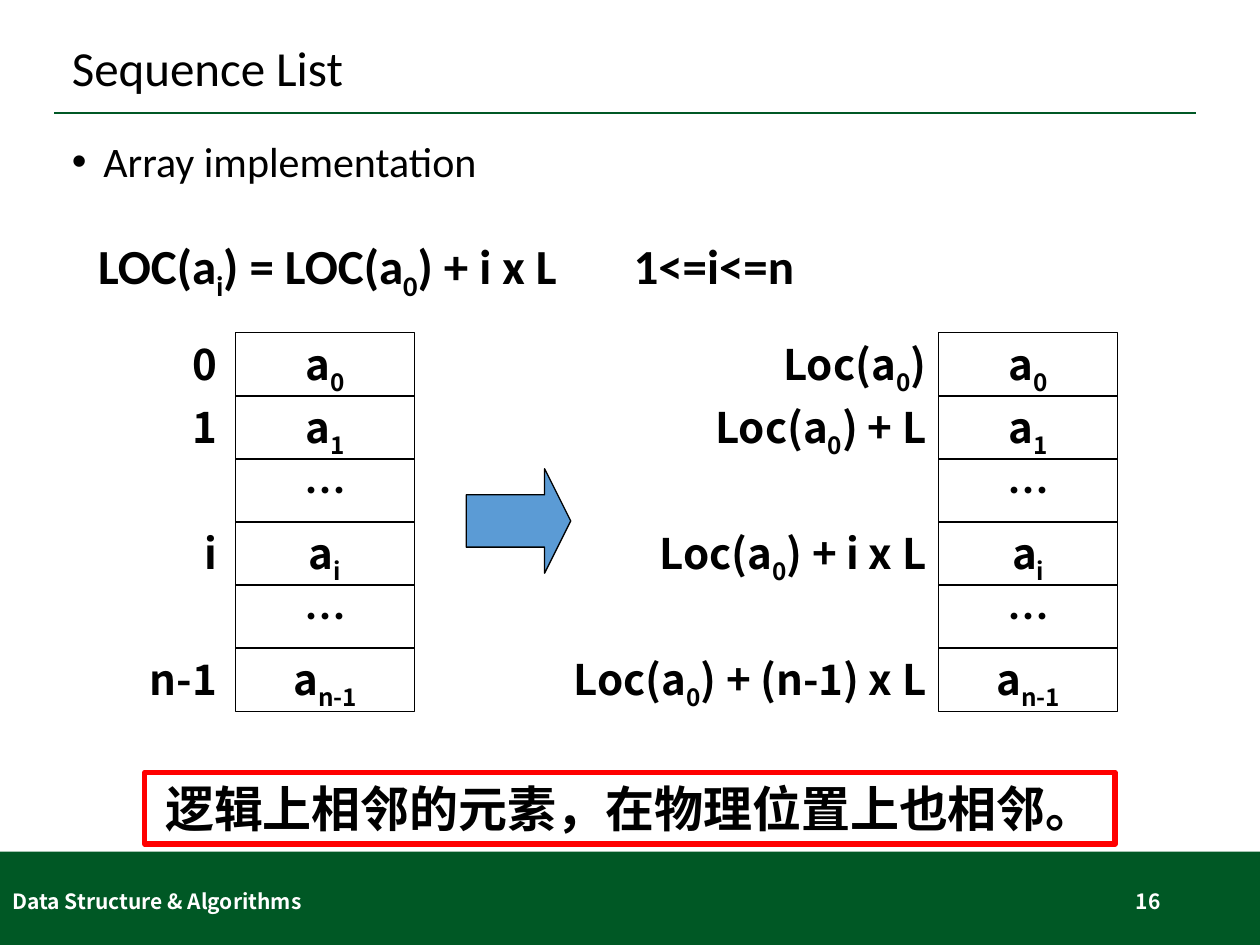
from dataclasses import dataclass

import lxml.etree
import pptx
import pptx.dml.color
import pptx.enum.shapes
import pptx.enum.text
import pptx.oxml.ns
import pptx.util

ALIGN = pptx.enum.text.PP_ALIGN
ANCHOR = pptx.enum.text.MSO_ANCHOR
SHAPE = pptx.enum.shapes.MSO_SHAPE
Inches = pptx.util.Inches


@dataclass(frozen=True)
class Theme:
    green: str = "005825"
    blue: str = "5B9BD5"
    red: str = "FF0000"
    black: str = "000000"
    white: str = "FFFFFF"
    latin: str = "Calibri"
    cells: str = "Noto Sans CJK JP"
    footer: str = "Noto Sans CJK SC"
    large: int = 28
    medium: int = 24
    small: int = 12


THEME = Theme()

# Array grid, in inches
GRID_TOP, ROW_STEP, CELL_WIDTH, CELL_HEIGHT = 2.64, 0.5, 1.42, 0.51
LEFT_ARRAY, RIGHT_ARRAY = 1.87, 7.45
ELEMENTS = ["a~0~", "a~1~", "…", "a~i~", "…", "a~n-1~"]

# Row number: (label, box width)
INDEX_LABELS = {0: ("0", 0.67), 1: ("1", 0.67), 3: ("i", 0.67), 5: ("n-1", 0.83)}
ADDRESS_LABELS = {
    0: ("Loc(a~0~)", 1.45),
    1: ("Loc(a~0~) + L", 2.6),
    3: ("Loc(a~0~) + i x L", 2.76),
    5: ("Loc(a~0~) + (n-1) x L", 3.33),
}


def color(value):
    return pptx.dml.color.RGBColor.from_string(value)


def add_element(parent, tag, **attributes):
    return lxml.etree.SubElement(parent, pptx.oxml.ns.qn(tag), **attributes)


def write(shape, text, *, size=THEME.medium, font=THEME.cells, ink=THEME.black,
          bold=True, align=ALIGN.LEFT, anchor=ANCHOR.TOP,
          spacing=None, bullet=None, indent=0.25, tab=None, wrap=True):
    """Write one paragraph; text between tildes is set as a subscript."""
    frame = shape.text_frame
    frame.word_wrap = wrap
    frame.vertical_anchor = anchor
    frame.margin_left = frame.margin_right = Inches(0.1)
    frame.margin_top = frame.margin_bottom = Inches(0.05)
    para = frame.paragraphs[0]
    para.alignment = align
    para.space_before = pptx.util.Pt(0)
    if spacing:
        para.line_spacing = spacing
    properties = para._p.get_or_add_pPr()
    if bullet:
        properties.set("marL", str(Inches(indent)))
        properties.set("indent", str(-Inches(indent)))
        add_element(properties, "a:buFont", typeface="Arial")
        add_element(properties, "a:buChar", char=bullet)
    if tab:
        stops = add_element(properties, "a:tabLst")
        add_element(stops, "a:tab", pos=str(Inches(tab)), algn="l")
    for number, part in enumerate(text.split("~")):
        if not part:
            continue
        span = para.add_run()
        span.text = part
        span.font.size = pptx.util.Pt(size)
        span.font.bold = bold
        span.font.color.rgb = color(ink)
        span.font.name = font
        run_properties = span._r.get_or_add_rPr()
        east_asian = THEME.footer if font == THEME.latin else font
        add_element(run_properties, "a:ea", typeface=east_asian)
        if number % 2:
            run_properties.set("baseline", "-25000")


def place(shape, left, top, width, height):
    shape.left, shape.top = Inches(left), Inches(top)
    shape.width, shape.height = Inches(width), Inches(height)


def add_text(page, area, text, **style):
    box = page.shapes.add_textbox(*map(Inches, area))
    write(box, text, **style)


def add_block(page, area, kind=SHAPE.RECTANGLE, fill=None, line=None, weight=0.75):
    block = page.shapes.add_shape(kind, *map(Inches, area))
    block.shadow.inherit = False
    if fill:
        block.fill.solid()
        block.fill.fore_color.rgb = color(fill)
    else:
        block.fill.background()
    if line:
        block.line.color.rgb = color(line)
        block.line.width = pptx.util.Pt(weight)
    else:
        block.line.fill.background()
    return block


def add_rule(page, left, right, top):
    rule = page.shapes.add_connector(
        pptx.enum.shapes.MSO_CONNECTOR.STRAIGHT,
        Inches(left), Inches(top), Inches(right), Inches(top))
    rule.line.color.rgb = color(THEME.green)
    rule.line.width = pptx.util.Pt(1.25)
    add_element(rule._element.spPr, "a:effectLst")


def add_array(page, left, labels, gap):
    """Stack the cells and set each label to the left of its row."""
    for row, element in enumerate(ELEMENTS):
        top = GRID_TOP + row * ROW_STEP
        cell = add_block(page, (left, top, CELL_WIDTH, CELL_HEIGHT), line=THEME.black)
        write(cell, element, align=ALIGN.CENTER)
        if row in labels:
            label, width = labels[row]
            add_text(page, (left - gap - width, top, width, ROW_STEP), label,
                     align=ALIGN.RIGHT)


def add_frame(page):
    """Footer band, its two texts and the rule under the title."""
    add_block(page, (0, 6.76, 10, 0.74), fill=THEME.green)
    add_rule(page, 0.43, 9.49, 0.9)
    style = dict(size=THEME.small, font=THEME.footer, ink=THEME.white,
                 anchor=ANCHOR.MIDDLE)
    add_text(page, (0, 6.95, 3.38, 0.4), "Data Structure & Algorithms", **style)
    add_text(page, (7.06, 6.95, 2.25, 0.4), "16", align=ALIGN.RIGHT, **style)


def main():
    deck = pptx.Presentation()
    deck.slide_width, deck.slide_height = Inches(10), Inches(7.5)
    page = deck.slides.add_slide(deck.slide_layouts[1])
    add_frame(page)

    # Title and bullet
    title, body = page.shapes.title, page.placeholders[1]
    place(title, 0.47, 0.23, 9.06, 0.66)
    write(title, "Sequence List", size=THEME.large, font=THEME.latin, bold=False,
          anchor=ANCHOR.MIDDLE, spacing=0.9)
    place(body, 0.47, 1.07, 9.06, 5.54)
    write(body, "Array implementation", font=THEME.latin, bold=False,
          spacing=0.9, bullet="•")

    # Address formula
    add_text(page, (0.68, 1.82, 9.25, 0.57),
             "LOC(a~i~) = LOC(a~0~) + i x L\t1<=i<=n",
             size=THEME.large, font=THEME.latin, tab=4.25)

    # Logical array, arrow, physical array
    add_array(page, LEFT_ARRAY, INDEX_LABELS, gap=0.05)
    arrow = add_block(page, (3.7, 3.72, 0.83, 0.83), SHAPE.RIGHT_ARROW,
                      fill=THEME.blue, line=THEME.black)
    arrow.adjustments[0], arrow.adjustments[1] = 0.5, 0.25
    add_array(page, RIGHT_ARRAY, ADDRESS_LABELS, gap=0)

    # Conclusion
    conclusion = add_block(page, (1.15, 6.13, 7.7, 0.57), line=THEME.red, weight=3)
    write(conclusion, "逻辑上相邻的元素，在物理位置上也相邻。", size=THEME.large,
          font=THEME.latin, align=ALIGN.CENTER, anchor=ANCHOR.MIDDLE, wrap=False)

    deck.save("out.pptx")


if __name__ == "__main__":
    main()
